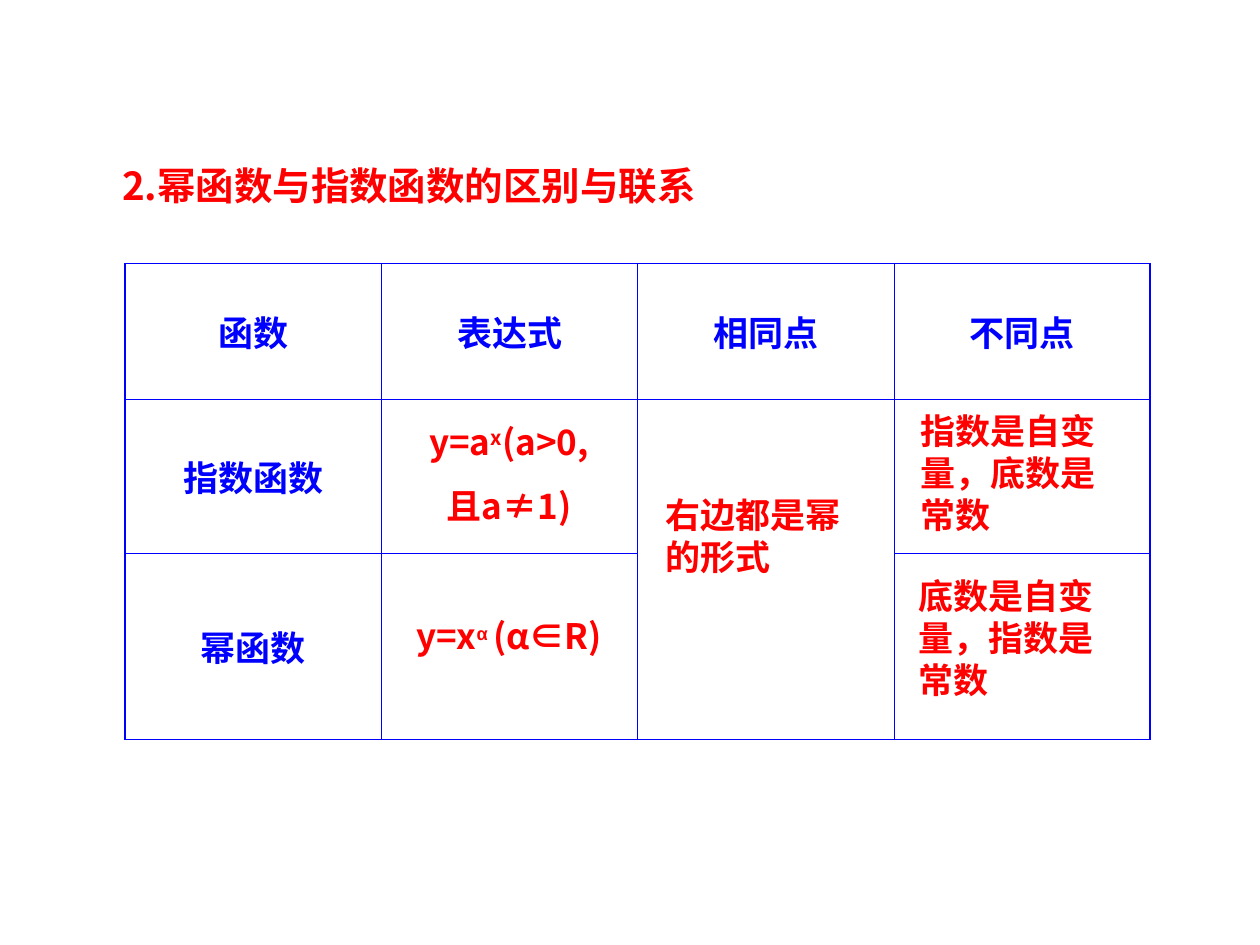
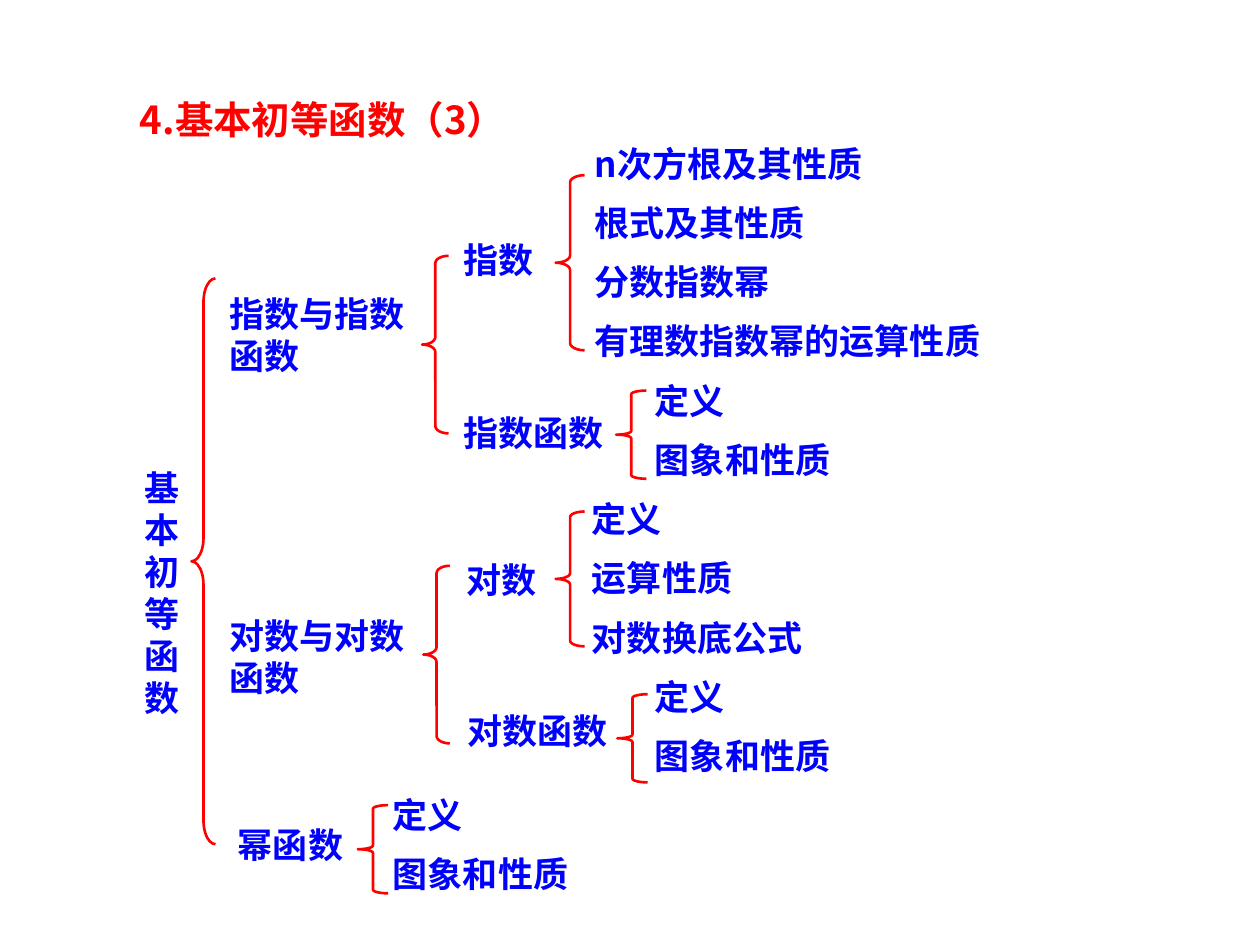
import pptx
import pptx.dml.color
import pptx.enum.shapes
import pptx.enum.text
import pptx.oxml.ns
import pptx.util
from lxml import etree

Inches = pptx.util.Inches
Pt = pptx.util.Pt
ALIGN = pptx.enum.text.PP_ALIGN
ANCHOR = pptx.enum.text.MSO_ANCHOR
qn = pptx.oxml.ns.qn

RED = pptx.dml.color.RGBColor(0xFF, 0x00, 0x00)
BLUE = pptx.dml.color.RGBColor(0x00, 0x00, 0xFF)
CJK_FONT = "Noto Sans CJK SC"
LATIN_FONT = "Arial"
TITLE_ONLY = 5
FRAME_FORMAT = {
    "word_wrap": True,
    "auto_size": pptx.enum.text.MSO_AUTO_SIZE.SHAPE_TO_FIT_TEXT,
    "vertical_anchor": ANCHOR.TOP,
    "margin_left": Inches(0.1),
    "margin_right": Inches(0.1),
    "margin_top": Inches(0.05),
    "margin_bottom": Inches(0.05),
}
OUTER_LINE = Pt(1.08)
INNER_LINE = Pt(0.45)

COMPARISON = [
    ["函数", "表达式", "相同点", "不同点"],
    ["指数函数", "", "", ""],
    ["幂函数", "", "", ""],
]
COLUMN_WIDTHS = [2.04, 2.03, 2.04, 2.03]
ROW_HEIGHTS = [1.08, 1.22, 1.48]
EXPONENT = {"baseline": 30000}
SMALL_EXPONENT = {"baseline": 30000, "size": 18, "font_name": LATIN_FONT}
ANSWERS = [
    ((1.97, 1.2, 2.16, 0.94), ALIGN.CENTER,
     [[("y=a", {}), ("x", EXPONENT), ("(a>0,", {})], [("且a≠1)", {})]]),
    ((1.97, 2.74, 2.16, 0.44), ALIGN.CENTER,
     [[("y=x", {}), ("α ", SMALL_EXPONENT), ("(α∈R)", {})]]),
    ((4.19, 1.78, 1.73, 0.77), ALIGN.LEFT, [[("右边都是幂的形式", {})]]),
    ((6.22, 1.11, 1.73, 1.1), ALIGN.LEFT, [[("指数是自变量，底数是常数", {})]]),
    ((6.2, 2.42, 1.73, 1.1), ALIGN.LEFT, [[("底数是自变量，指数是常数", {})]]),
]

BRANCHES = [
    ("基本初等函数", (0.05, 2.65, 0.43, 2.1)),
    ("指数与指数函数", (0.72, 1.27, 1.69, 0.77)),
    ("对数与对数函数", (0.72, 3.83, 1.69, 0.77)),
    ("幂函数", (0.79, 5.49, 1.69, 0.44)),
    ("指数", (2.58, 0.84, 1.82, 0.44)),
    ("指数函数", (2.58, 2.22, 1.82, 0.44)),
    ("对数", (2.6, 3.38, 1.82, 0.44)),
    ("对数函数", (2.61, 4.58, 1.82, 0.44)),
]
LEAF_GROUPS = [
    (3.62, 3.15, ["n次方根及其性质", "根式及其性质", "分数指数幂"]),
    (3.62, 4.3, ["有理数指数幂的运算性质"]),
    (4.1, 3.34, ["定义", "图象和性质"]),
    (3.6, 3.34, ["定义", "运算性质", "对数换底公式"]),
    (4.1, 3.34, ["定义", "图象和性质"]),
    (2.02, 3.34, ["定义", "图象和性质"]),
]
LEAF_TOP, LEAF_PITCH, LEAF_HEIGHT = 0.08, 0.47, 0.44
BRACES = [
    (0.52, 1.21, 0.19, 4.49),
    (2.35, 1.03, 0.21, 1.41),
    (2.36, 3.49, 0.21, 1.41),
    (3.41, 0.39, 0.23, 1.39),
    (3.89, 2.1, 0.24, 0.7),
    (3.41, 3.06, 0.23, 1.07),
    (3.9, 4.51, 0.24, 0.7),
    (1.84, 5.39, 0.24, 0.7),
]


def within(area, box):
    """Turn a box relative to an area into slide lengths."""
    left, top, width, height = box
    return [Inches(n) for n in (area[0] + left, area[1] + top, width, height)]


def write_run(paragraph, text, color, size=20, font_name=CJK_FONT, baseline=None):
    """Add one bold run in the given colour and font."""
    run = paragraph.add_run()
    run.text = text
    font_format = {"size": Pt(size), "bold": True, "name": font_name}
    for key, value in font_format.items():
        setattr(run.font, key, value)
    run.font.color.rgb = color
    properties = run.font._element if hasattr(run.font, "_element") else run._r.get_or_add_rPr()
    etree.SubElement(properties, qn("a:ea")).set("typeface", CJK_FONT)
    if baseline:
        properties.set("baseline", str(baseline))


def format_frame(frame):
    """Apply the shared text frame settings."""
    for key, value in FRAME_FORMAT.items():
        setattr(frame, key, value)


def add_title(slide, box, text, alignment, line_spacing):
    """Place the red slide title in its placeholder."""
    title = slide.shapes.title
    title.left, title.top, title.width, title.height = within((0, 0), box)
    format_frame(title.text_frame)
    paragraph = title.text_frame.paragraphs[0]
    paragraph.alignment = alignment
    paragraph.line_spacing = line_spacing
    write_run(paragraph, text, RED, size=22)


def add_label(slide, area, box, paragraphs, color, alignment=ALIGN.LEFT):
    """Place a text label made of paragraphs of runs."""
    frame = slide.shapes.add_textbox(*within(area, box)).text_frame
    format_frame(frame)
    for index, runs in enumerate(paragraphs):
        paragraph = frame.add_paragraph() if index else frame.paragraphs[0]
        paragraph.alignment = alignment
        if index:
            paragraph.space_before = Pt(12.5)
        for text, style in runs:
            write_run(paragraph, text, color, **style)


def add_border(cell, side, width):
    """Draw one blue cell border."""
    line = etree.SubElement(cell._tc.get_or_add_tcPr(), qn("a:" + side), w=str(width))
    fill = etree.SubElement(line, qn("a:solidFill"))
    etree.SubElement(fill, qn("a:srgbClr"), val=str(BLUE))


def add_comparison_table(slide, area):
    """Build the table comparing the two kinds of function."""
    rows, columns = len(ROW_HEIGHTS), len(COLUMN_WIDTHS)
    size = (0, 0, sum(COLUMN_WIDTHS), sum(ROW_HEIGHTS))
    table = slide.shapes.add_table(rows, columns, *within(area, size)).table
    table.first_row = table.horz_banding = False
    for column, width in zip(table.columns, COLUMN_WIDTHS):
        column.width = Inches(width)
    for row, height in zip(table.rows, ROW_HEIGHTS):
        row.height = Inches(height)
    table.cell(1, 2).merge(table.cell(2, 2))
    for r, texts in enumerate(COMPARISON):
        for c, text in enumerate(texts):
            cell = table.cell(r, c)
            if cell.is_spanned:
                continue
            last_row = r + (cell.span_height if cell.is_merge_origin else 1) == rows
            edges = {"lnL": c == 0, "lnR": c == columns - 1, "lnT": r == 0, "lnB": last_row}
            for side, is_outer in edges.items():
                add_border(cell, side, OUTER_LINE if is_outer else INNER_LINE)
            cell.fill.background()
            cell.vertical_anchor = ANCHOR.MIDDLE
            if text:
                paragraph = cell.text_frame.paragraphs[0]
                paragraph.alignment = ALIGN.CENTER
                write_run(paragraph, text, BLUE, font_name=LATIN_FONT)


def add_brace(slide, area, box):
    """Draw a red left brace whose curls scale with its height."""
    brace = slide.shapes.add_shape(
        pptx.enum.shapes.MSO_SHAPE.LEFT_BRACE, *within(area, box))
    brace.adjustments[0] = box[3] / 24 / box[2]
    brace.shadow.inherit = False
    brace.fill.background()
    brace.line.color.rgb = RED
    brace.line.width = Pt(1.5)


def add_function_tree(slide, area):
    """Lay out the tree of branches, braces and evenly spaced leaves."""
    for text, box in BRANCHES:
        add_label(slide, area, box, [[(text, {})]], BLUE)
    top = LEAF_TOP
    for left, width, leaves in LEAF_GROUPS:
        for leaf in leaves:
            add_label(slide, area, (left, top, width, LEAF_HEIGHT), [[(leaf, {})]], BLUE)
            top += LEAF_PITCH
    for box in BRACES:
        add_brace(slide, area, box)


def build_comparison_slide(deck):
    """Build the slide on power and exponential functions."""
    slide = deck.slides.add_slide(deck.slide_layouts[TITLE_ONLY])
    add_title(slide, (0.87, 1.09, 7.19, 0.62), "2.幂函数与指数函数的区别与联系", ALIGN.LEFT, 1.4)
    area = (0.99, 2.09)
    add_comparison_table(slide, area)
    for box, alignment, paragraphs in ANSWERS:
        add_label(slide, area, box, paragraphs, RED, alignment)


def build_tree_slide(deck):
    """Build the slide outlining the elementary functions."""
    slide = deck.slides.add_slide(deck.slide_layouts[TITLE_ONLY])
    add_title(slide, (0.63, 0.71, 3.86, 0.47), "4.基本初等函数（3）", ALIGN.CENTER, 1.0)
    add_function_tree(slide, (1, 1))


def main():
    """Create the deck and save it."""
    deck = pptx.Presentation()
    deck.slide_width, deck.slide_height = Inches(10), Inches(7.5)
    build_comparison_slide(deck)
    build_tree_slide(deck)
    deck.save("out.pptx")


if __name__ == "__main__":
    main()
